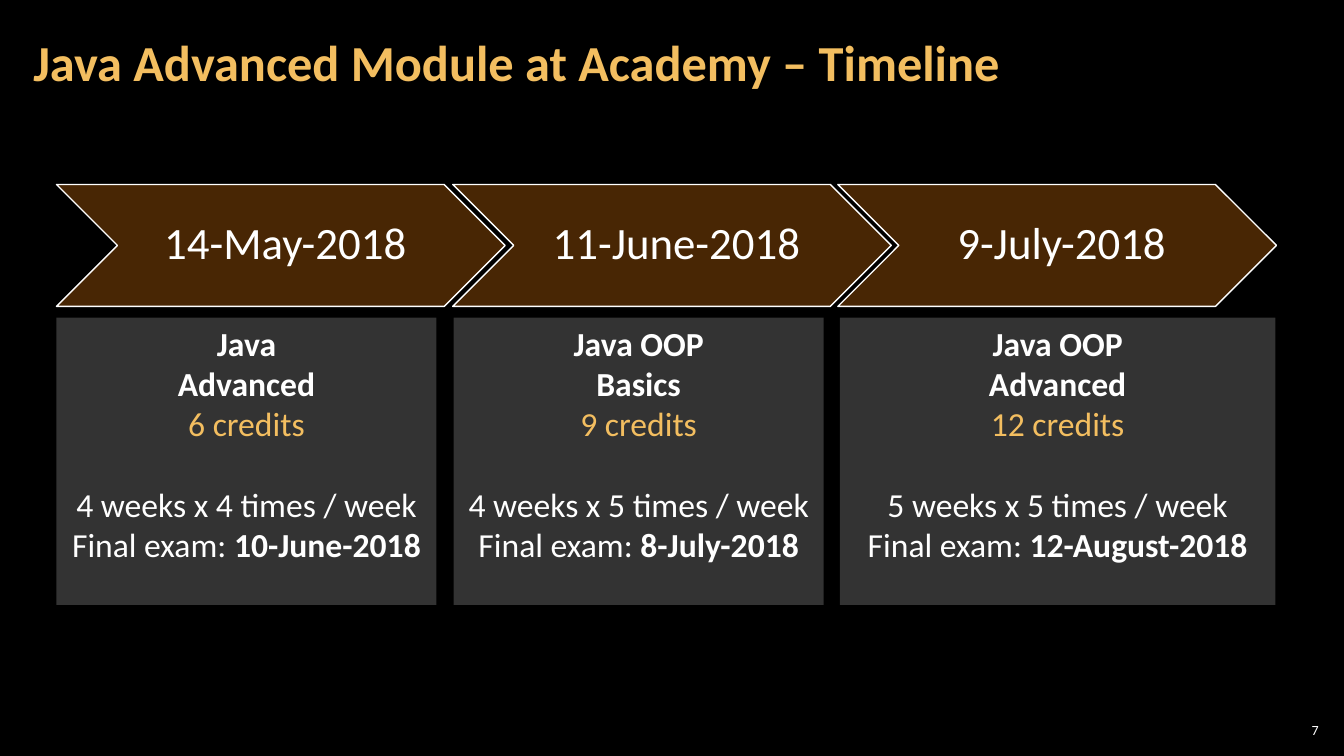
from lxml import etree
from pptx import Presentation
from pptx.dml.color import RGBColor
from pptx.enum.shapes import MSO_SHAPE as Preset
from pptx.enum.text import MSO_ANCHOR as Anchor, MSO_AUTO_SIZE as AutoSize, PP_ALIGN as Align
from pptx.oxml.ns import qn
from pptx.util import Inches, Pt

FONT = "Calibri"
WHITE, GOLD, BROWN, BLACK = "FFFFFF", "F3BE60", "613306", "000000"
CARD_TOP, CARD_HEIGHT = 3.15, 2.85
CHEVRON_TOP, CHEVRON_HEIGHT = 1.83, 1.21

# Start date, chevron (left, width), card (left, width), course lines, credits, pace, exam date
COURSES = [
    ("14-May-2018", (0.56, 4.45), (0.56, 3.77), ("Java", "Advanced"),
     "6 credits", "4 weeks x 4 times / week", "10-June-2018"),
    ("11-June-2018", (4.49, 4.35), (4.5, 3.67), ("Java OOP", "Basics"),
     "9 credits", "4 weeks x 5 times / week", "8-July-2018"),
    ("9-July-2018", (8.31, 4.35), (8.33, 4.32), ("Java OOP", "Advanced"),
     "12 credits", "5 weeks x 5 times / week", "12-August-2018"),
]


def rgb(color):
    return RGBColor.from_string(color)


def style(para, size, color=WHITE, bold=False, align=Align.CENTER):
    para.alignment = align
    font = para.font
    font.name, font.size, font.bold = FONT, Pt(size), bold
    font.color.rgb = rgb(color)


def set_frame(frame, anchor, left, top, right, bottom):
    """Fix the anchor and the insets (in inches) of a text frame."""
    frame.word_wrap = True
    frame.auto_size = AutoSize.NONE
    frame.vertical_anchor = anchor
    frame.margin_left, frame.margin_top = Inches(left), Inches(top)
    frame.margin_right, frame.margin_bottom = Inches(right), Inches(bottom)


def add_panel(page, preset, left, top, width, height, color, opacity):
    """Add a borderless shape with a see-through fill; opacity is in percent."""
    panel = page.shapes.add_shape(
        preset, Inches(left), Inches(top), Inches(width), Inches(height))
    panel.shadow.inherit = False
    panel.fill.solid()
    panel.fill.fore_color.rgb = rgb(color)
    color_node = panel.fill._xPr.find(qn("a:solidFill"))[0]
    etree.SubElement(color_node, qn("a:alpha"), val=str(opacity * 1000))
    panel.line.fill.background()
    return panel


def add_chevron(page, left, width, date):
    chevron = add_panel(page, Preset.CHEVRON, left, CHEVRON_TOP,
                        width, CHEVRON_HEIGHT, BROWN, 75)
    chevron.line.color.rgb = rgb(WHITE)
    chevron.line.width = Pt(1)
    set_frame(chevron.text_frame, Anchor.MIDDLE, 0.14, 0.05, 0.05, 0.05)
    para = chevron.text_frame.paragraphs[0]
    para.text = date
    para.line_spacing = 0.9
    style(para, 32)


def add_card(page, left, width, course, credits, pace, exam):
    card = add_panel(page, Preset.RECTANGLE, left, CARD_TOP,
                     width, CARD_HEIGHT, WHITE, 20)
    frame = card.text_frame
    set_frame(frame, Anchor.TOP, 0.1, 0.05, 0.1, 0.05)
    frame.text = "\n".join([*course, credits, pace, "Final exam: "])
    *course_paras, credits_para, pace_para, exam_para = frame.paragraphs
    for para in course_paras:
        style(para, 24, bold=True)
    style(credits_para, 24, GOLD)
    style(pace_para, 24)
    pace_para.space_before = Pt(29)
    style(exam_para, 24)
    span = exam_para.add_run()
    span.text = exam
    span.font.bold = True


def set_title(page, text):
    title = page.shapes.title
    title.left, title.top = Inches(0.21), Inches(0.04)
    title.width, title.height = Inches(10.46), Inches(1.21)
    set_frame(title.text_frame, Anchor.MIDDLE, 0.12, 0.04, 0.12, 0.04)
    para = title.text_frame.paragraphs[0]
    para.text = text
    para.line_spacing = 0.9
    style(para, 36, GOLD, bold=True, align=Align.LEFT)


def add_page_number(page, number):
    box = page.shapes.add_textbox(Inches(12.65), Inches(7.14), Inches(0.47), Inches(0.21))
    set_frame(box.text_frame, Anchor.MIDDLE, 0.04, 0.04, 0.04, 0.04)
    para = box.text_frame.paragraphs[0]
    para.text = number
    style(para, 10, align=Align.RIGHT)


def main():
    deck = Presentation()
    deck.slide_width, deck.slide_height = Inches(13.33), Inches(7.5)
    page = deck.slides.add_slide(deck.slide_layouts.get_by_name("Title Only"))
    page.background.fill.solid()
    page.background.fill.fore_color.rgb = rgb(BLACK)
    set_title(page, "Java Advanced Module at Academy – Timeline")
    for date, chevron_span, card_span, *details in COURSES:
        add_chevron(page, *chevron_span, date)
        add_card(page, *card_span, *details)
    add_page_number(page, "7")
    deck.save("out.pptx")


if __name__ == "__main__":
    main()
